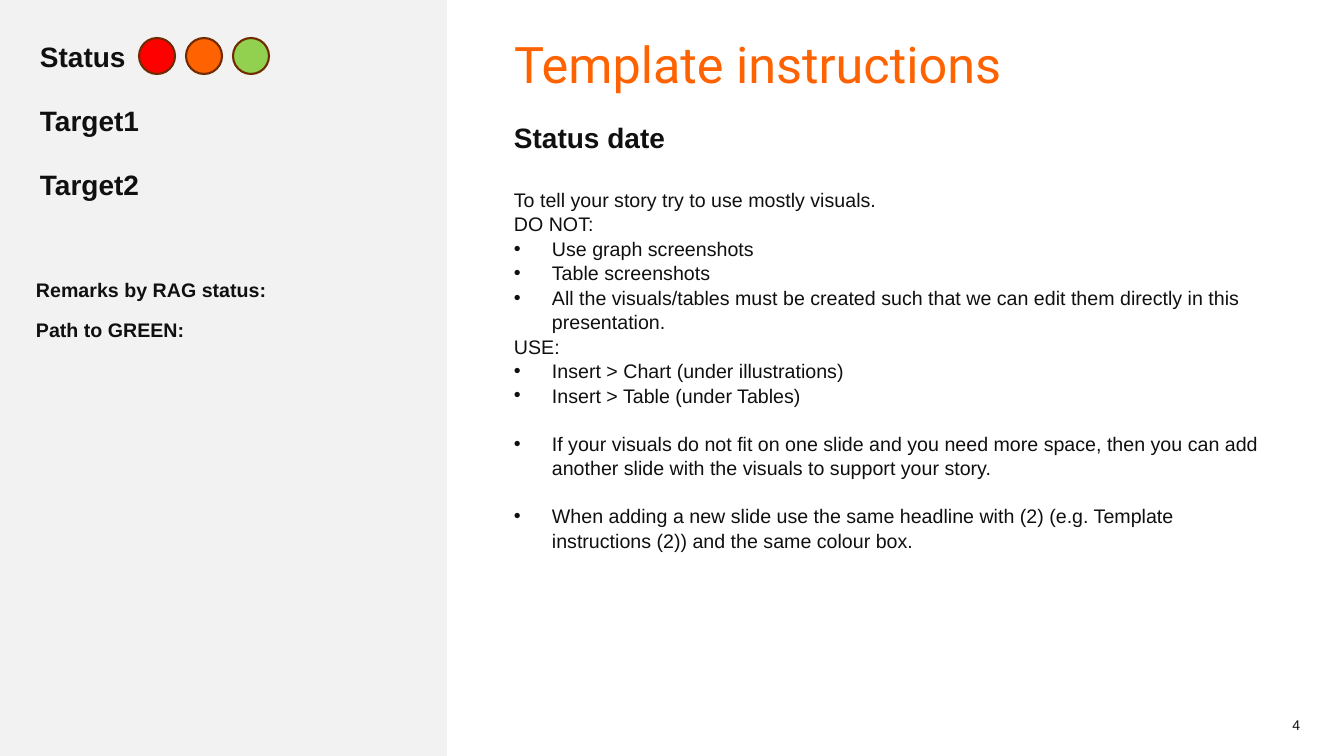
from pptx import Presentation, util as u
from pptx.dml.color import RGBColor
from pptx.enum import shapes, text
from pptx.oxml.ns import qn
from lxml import etree

PX = 914400 / 100.8
ORANGE = RGBColor(0xFF, 0x62, 0x00)
INK = RGBColor(0x10, 0x10, 0x10)
PANEL = RGBColor(0xF2, 0xF2, 0xF2)
OUTLINE = RGBColor(0x70, 0x2B, 0x00)
RED = RGBColor(0xFF, 0x00, 0x00)
GREEN = RGBColor(0x92, 0xD0, 0x50)
LEFT, BODY = 30, 504
INDENT = 38

INSTRUCTIONS = [
    ("To tell your story try to use mostly visuals.", False, 0),
    ("DO NOT:", False, 0),
    ("Use graph screenshots", True, 0),
    ("Table screenshots", True, 0),
    ("All the visuals/tables must be created such that we can edit them "
     "directly in this presentation.", True, 0),
    ("USE:", False, 0),
    ("Insert > Chart (under illustrations)", True, 0),
    ("Insert > Table (under Tables)", True, 0),
    ("If your visuals do not fit on one slide and you need more space, then "
     "you can add another slide with the visuals to support your story.", True, 17),
    ("When adding a new slide use the same headline with (2) (e.g. Template "
     "instructions (2)) and the same colour box.", True, 17),
]


def px(n):
    return u.Emu(round(n * PX))


def add_run(p, words, size, bold=False, font="Arial", color=INK):
    r = p.add_run()
    r.text = words
    r.font.name = font
    r.font.size = u.Pt(size)
    r.font.bold = bold
    r.font.color.rgb = color


def add_bullet(p):
    pPr = p._p.get_or_add_pPr()
    pPr.set("marL", str(px(INDENT)))
    pPr.set("indent", str(-px(INDENT)))
    etree.SubElement(pPr, qn("a:buFont")).set("typeface", "Arial")
    etree.SubElement(pPr, qn("a:buChar")).set("char", "•")


def add_box(s, box, anchor=text.MSO_ANCHOR.TOP):
    tf = s.shapes.add_textbox(*map(px, box)).text_frame
    tf.word_wrap = True
    tf.vertical_anchor = anchor
    return tf


def add_heading(s, words, box):
    tf = add_box(s, box, text.MSO_ANCHOR.BOTTOM)
    add_run(tf.paragraphs[0], words, 20, bold=True)


def add_paragraphs(tf, items, bold=False):
    for i, (words, bulleted, gap) in enumerate(items):
        p = tf.add_paragraph() if i else tf.paragraphs[0]
        p.line_spacing = 1.04
        p.space_before = u.Pt(gap)
        if bulleted:
            add_bullet(p)
        add_run(p, words, 14, bold)


def add_filled(s, kind, box, fill, line=None):
    sp = s.shapes.add_shape(kind, *map(px, box))
    sp.shadow.inherit = False
    sp.fill.solid()
    sp.fill.fore_color.rgb = fill
    if line is None:
        sp.line.fill.background()
    else:
        sp.line.color.rgb = line
        sp.line.width = u.Pt(1.5)


def add_title(s, words, box):
    sp = s.shapes.title
    sp.left, sp.top, sp.width, sp.height = map(px, box)
    tf = sp.text_frame
    tf.vertical_anchor = text.MSO_ANCHOR.TOP
    tf.auto_size = text.MSO_AUTO_SIZE.NONE
    p = tf.paragraphs[0]
    p.alignment = text.PP_ALIGN.LEFT
    add_run(p, words, 36, font="Roboto", color=ORANGE)


def main():
    prs = Presentation()
    prs.slide_width, prs.slide_height = px(1344), px(756)
    s = prs.slides.add_slide(prs.slide_layouts[5])

    add_title(s, "Template instructions", (BODY, 28, 716, 72))
    add_heading(s, "Status date", (BODY, 117, 570, 42))
    add_paragraphs(add_box(s, (BODY, 182, 772, 446)), INSTRUCTIONS)

    add_filled(s, shapes.MSO_SHAPE.RECTANGLE, (0, 0, 447, 756), PANEL)
    for i, words in enumerate(("Status", "Target1", "Target2")):
        add_heading(s, words, (LEFT, 38 + 64 * i, 416, 40))
    for i, color in enumerate((RED, ORANGE, GREEN)):
        add_filled(s, shapes.MSO_SHAPE.OVAL, (139 + 47 * i, 38, 36, 36), color, OUTLINE)

    remarks = add_box(s, (32, 273, 382, 417))
    remarks.margin_left = remarks.margin_right = px(4)
    remarks.margin_top = remarks.margin_bottom = px(4)
    add_paragraphs(remarks, [("Remarks by RAG status:", False, 0),
                             ("Path to GREEN:", False, 11)], bold=True)

    p = add_box(s, (1257, 712, 53, 29)).paragraphs[0]
    p.alignment = text.PP_ALIGN.RIGHT
    add_run(p, "4", 10)

    prs.save("out.pptx")


if __name__ == "__main__":
    main()
